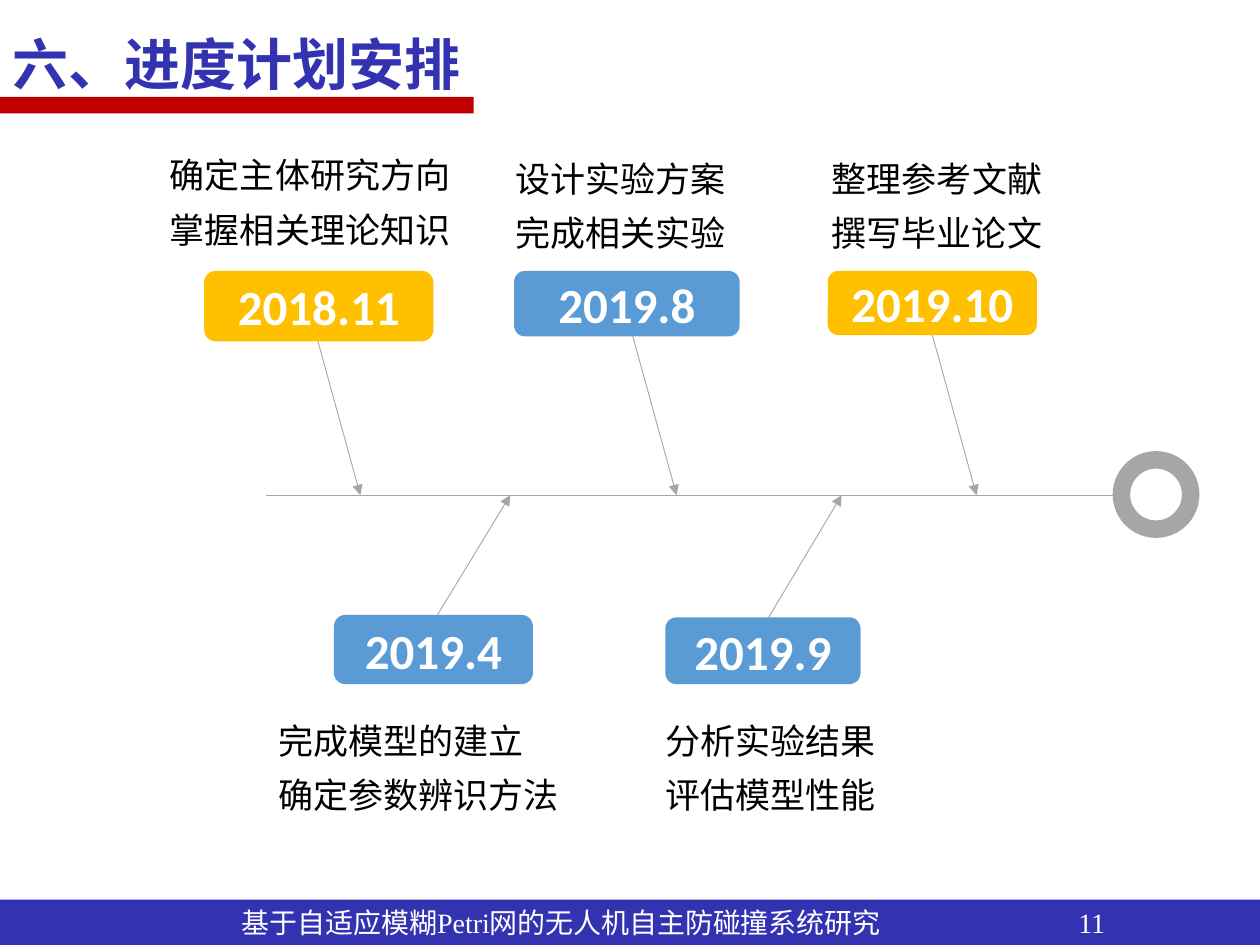
from dataclasses import dataclass

from lxml import etree
from pptx import Presentation
from pptx.dml.color import RGBColor
from pptx.enum.shapes import MSO_CONNECTOR, MSO_SHAPE
from pptx.enum.text import MSO_ANCHOR, MSO_AUTO_SIZE, PP_ALIGN
from pptx.oxml.ns import qn
from pptx.util import Inches, Pt

STRAIGHT = MSO_CONNECTOR.STRAIGHT
RECTANGLE, ROUNDED, OVAL = MSO_SHAPE.RECTANGLE, MSO_SHAPE.ROUNDED_RECTANGLE, MSO_SHAPE.OVAL
MIDDLE = MSO_ANCHOR.MIDDLE
GROW = MSO_AUTO_SIZE.SHAPE_TO_FIT_TEXT
LEFT, CENTER, RIGHT, JUSTIFY = PP_ALIGN.LEFT, PP_ALIGN.CENTER, PP_ALIGN.RIGHT, PP_ALIGN.JUSTIFY


@dataclass(frozen=True)
class Theme:
    navy: str = "3333B2"
    red: str = "C00000"
    gold: str = "FFC000"
    blue: str = "5B9BD5"
    gray: str = "A6A6A6"
    black: str = "000000"
    white: str = "FFFFFF"
    chinese_font: str = "Noto Sans CJK SC"
    date_font: str = "Calibri"
    footer_font: str = "Times New Roman"
    title_size: int = 32
    date_size: int = 28
    body_size: int = 20
    footer_size: int = 16


THEME = Theme()
AXIS_Y = 3.93


@dataclass(frozen=True)
class Frame:
    left: float
    top: float
    width: float
    height: float

    def lengths(self):
        return [Inches(value) for value in (self.left, self.top, self.width, self.height)]


@dataclass(frozen=True)
class Milestone:
    date: str
    color: str
    badge: Frame
    tasks: str
    task_frame: Frame
    alignment: PP_ALIGN
    arrow_start: tuple[float, float]
    arrow_end_x: float


MILESTONES = [
    Milestone("2018.11", THEME.gold, Frame(1.62, 2.15, 1.82, 0.56),
              "确定主体研究方向\n掌握相关理论知识", Frame(1.25, 1.07, 2.51, 0.97), JUSTIFY,
              (2.51, 2.66), 2.86),
    Milestone("2019.4", THEME.blue, Frame(2.65, 4.88, 1.58, 0.55),
              "完成模型的建立\n确定参数辨识方法", Frame(2.11, 5.56, 2.46, 0.97), JUSTIFY,
              (3.46, 4.9), 4.05),
    Milestone("2019.8", THEME.blue, Frame(4.08, 2.15, 1.79, 0.52),
              "设计实验方案完成相关实验", Frame(3.93, 1.1, 1.93, 0.97), RIGHT,
              (5.02, 2.66), 5.37),
    Milestone("2019.9", THEME.blue, Frame(5.28, 4.9, 1.55, 0.53),
              "分析实验结果评估模型性能", Frame(5.12, 5.56, 1.93, 0.97), RIGHT,
              (6.1, 4.9), 6.68),
    Milestone("2019.10", THEME.gold, Frame(6.57, 2.15, 1.66, 0.51),
              "整理参考文献撰写毕业论文", Frame(6.43, 1.1, 1.94, 0.97), RIGHT,
              (7.4, 2.66), 7.75),
]


def write(shape, text: str, font: str, size: int, color: str, alignment=LEFT,
          bold: bool = False, spacing: float = 1.0) -> None:
    """Fill a shape with text, naming the font for Latin and Chinese characters."""
    frame = shape.text_frame
    frame.word_wrap = True
    frame.text = text
    for para in frame.paragraphs:
        para.alignment = alignment
        para.line_spacing = spacing
        for span in para.runs:
            span.font.name = font
            span.font.size = Pt(size)
            span.font.bold = bold
            span.font.color.rgb = RGBColor.from_string(color)
            east_asian = etree.Element(qn("a:ea"), typeface=THEME.chinese_font)
            span.font._element.find(qn("a:latin")).addnext(east_asian)


def add_block(page, kind, frame: Frame, color: str):
    block = page.shapes.add_shape(kind, *frame.lengths())
    block.shadow.inherit = False
    block.fill.solid()
    block.fill.fore_color.rgb = RGBColor.from_string(color)
    block.line.fill.background()
    return block


def add_text(page, frame: Frame, text: str, size: int, color: str, **style) -> None:
    box = page.shapes.add_textbox(*frame.lengths())
    write(box, text, THEME.chinese_font, size, color, **style)
    box.text_frame.auto_size = GROW


def add_line(page, start: tuple[float, float], end: tuple[float, float],
             arrow: bool = False) -> None:
    points = [Inches(value) for value in (*start, *end)]
    line = page.shapes.add_connector(STRAIGHT, *points)
    line.line.color.rgb = RGBColor.from_string(THEME.gray)
    line.line.width = Pt(0.5)
    if arrow:
        etree.SubElement(line.line._get_or_add_ln(), qn("a:tailEnd"), type="triangle")
    etree.SubElement(line._element.spPr, qn("a:effectLst"))


def add_milestone(page, milestone: Milestone) -> None:
    add_line(page, milestone.arrow_start, (milestone.arrow_end_x, AXIS_Y), arrow=True)
    badge = add_block(page, ROUNDED, milestone.badge, milestone.color)
    badge.text_frame.vertical_anchor = MIDDLE
    write(badge, milestone.date, THEME.date_font, THEME.date_size, THEME.white,
          CENTER, bold=True)
    add_text(page, milestone.task_frame, milestone.tasks, THEME.body_size, THEME.black,
             alignment=milestone.alignment, spacing=1.3)


def add_timeline(page) -> None:
    ring = page.shapes.add_shape(OVAL, *Frame(8.9, 3.65, 0.55, 0.55).lengths())
    ring.shadow.inherit = False
    ring.fill.background()
    ring.line.color.rgb = RGBColor.from_string(THEME.gray)
    ring.line.width = Pt(10)
    add_line(page, (8.9, AXIS_Y), (2.11, AXIS_Y))
    for milestone in MILESTONES:
        add_milestone(page, milestone)


def add_title(page) -> None:
    add_block(page, RECTANGLE, Frame(0, 0.77, 3.76, 0.13), THEME.red)
    add_text(page, Frame(0, -0.08, 4.71, 0.9), "六、进度计划安排", THEME.title_size,
             THEME.navy, bold=True, spacing=1.5)


def add_footer(page) -> None:
    """Draw the footer band, with tab stops placing its topic and page number."""
    band = add_block(page, RECTANGLE, Frame(0, 7.14, 10, 0.36), THEME.navy)
    band.text_frame.vertical_anchor = MIDDLE
    write(band, "\t基于自适应模糊Petri网的无人机自主防碰撞系统研究\t11",
          THEME.footer_font, THEME.footer_size, THEME.white)
    properties = band.text_frame.paragraphs[0]._p.get_or_add_pPr()
    tab_list = etree.SubElement(properties, qn("a:tabLst"))
    for stop in (1.82, 8.46):
        etree.SubElement(tab_list, qn("a:tab"), pos=str(Inches(stop)), algn="l")


def main() -> None:
    deck = Presentation()
    deck.slide_width, deck.slide_height = Inches(10), Inches(7.5)
    page = deck.slides.add_slide(deck.slide_layouts[6])
    add_timeline(page)
    add_title(page)
    add_footer(page)
    deck.save("out.pptx")


if __name__ == "__main__":
    main()
